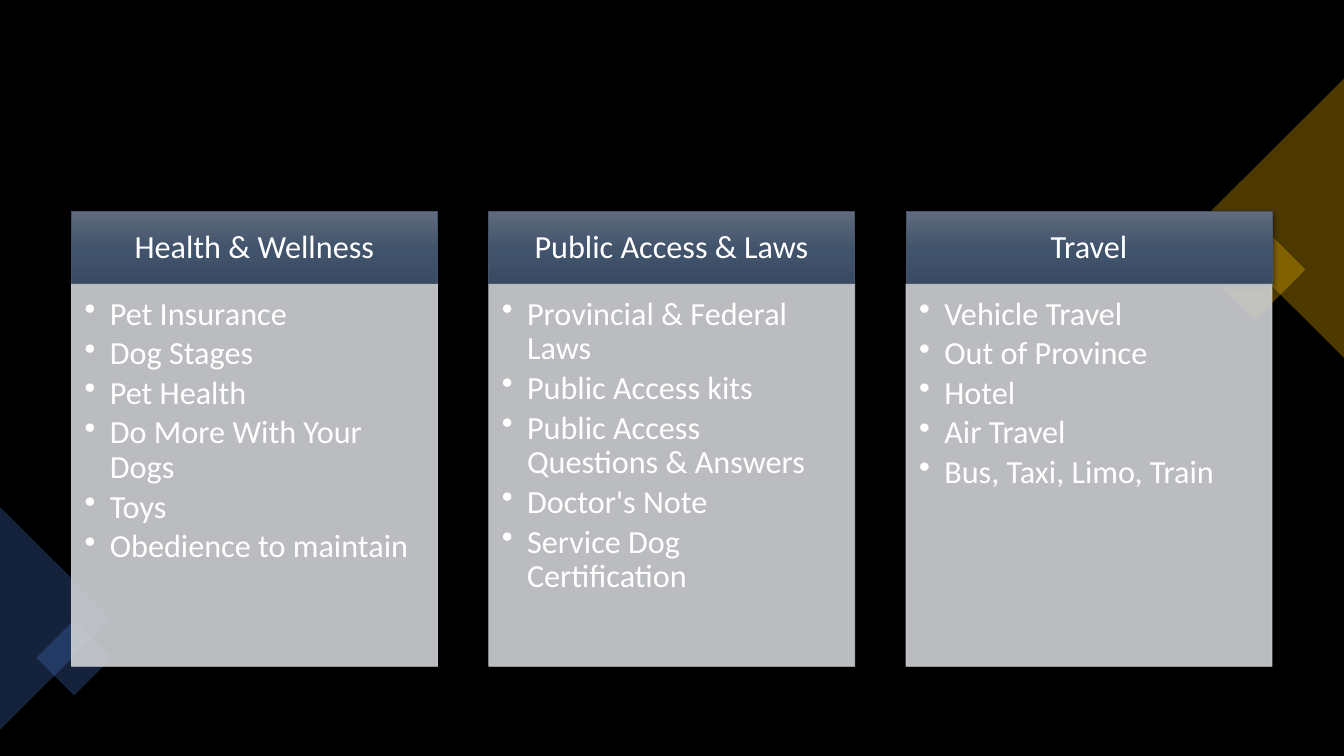
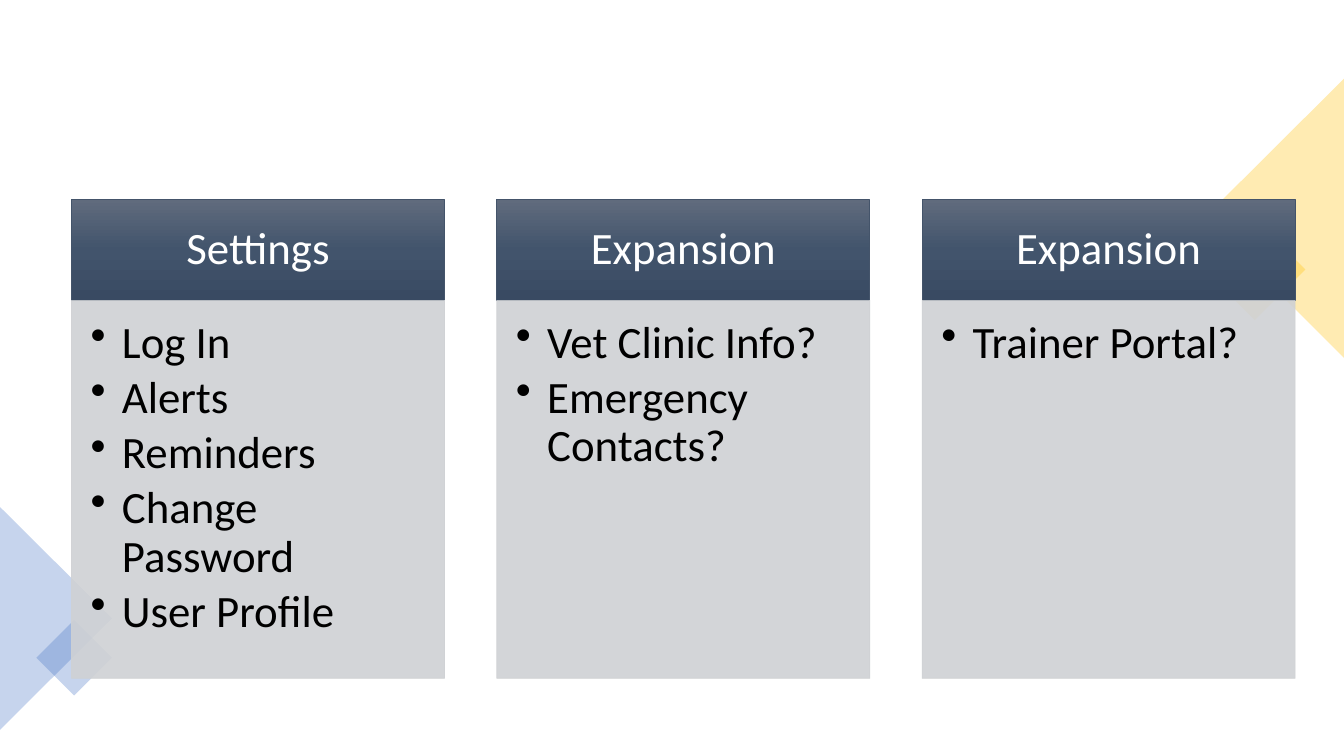
from copy import deepcopy
from lxml import etree
from pptx import Presentation
from pptx import util as u
from pptx.dml.color import RGBColor
from pptx.enum import shapes, text
from pptx.oxml.ns import qn

FONT = "Calibri"
HEX = {
    "black": "000000", "white": "FFFFFF", "gold": "FFC000", "blue": "4472C4",
    "edge": "44546A", "body": "CFD1D4",
    "top": "606B7D", "mid": "42546C", "low": "394A62",
}
RECT = shapes.MSO_SHAPE.RECTANGLE
TRI = shapes.MSO_SHAPE.ISOSCELES_TRIANGLE

# kind, left, top, width, height, turn, colour
DECOR = [
    (RECT, 12.09, 2.32, 0.71, 0.71, 45, "gold"),
    (TRI, 11.25, 1.47, 2.77, 1.39, 270, "gold"),
    (TRI, -0.55, 5.58, 2.21, 1.11, 90, "blue"),
    (RECT, 0.47, 6.26, 0.53, 0.53, 45, "blue"),
]
LEFT, GAP = 0.71, 0.14  # the gap is a share of the column width

SLIDES = [
    {
        "back": "black", "ink": "white", "size": 23, "shadow": True,
        "top": 2.1, "width": 3.63, "head": 0.72, "body": 3.79,
        "head_pad": (0.18, 0.1, 0.18, 0.1),
        "body_pad": (0.13, 0.13, 0.18, 0.2), "indent": 0.25,
        "cols": [
            ("Health & Wellness", [
                "Pet Insurance", "Dog Stages", "Pet Health",
                "Do More With Your Dogs", "Toys", "Obedience to maintain"]),
            ("Public Access & Laws", [
                "Provincial & Federal Laws", "Public Access kits",
                "Public Access Questions & Answers", "Doctor's Note",
                "Service Dog Certification"]),
            ("Travel", [
                "Vehicle Travel", "Out of Province", "Hotel", "Air Travel",
                "Bus, Taxi, Limo, Train"]),
        ],
    },
    {
        "back": "white", "ink": "black", "size": 32, "shadow": False,
        "top": 1.98, "width": 3.7, "head": 1.0, "body": 3.75,
        "head_pad": (0.25, 0.14, 0.25, 0.14),
        "body_pad": (0.19, 0.19, 0.25, 0.28), "indent": 0.31,
        "cols": [
            ("Settings", ["Log In", "Alerts", "Reminders",
                          "Change Password", "User Profile"]),
            ("Expansion", ["Vet Clinic Info?", "Emergency Contacts?"]),
            ("Expansion", ["Trainer Portal?"]),
        ],
    },
]


def rgb(name):
    return RGBColor.from_string(HEX[name])


def paint(fill, name, alpha):
    """Fill with one colour at a given percentage of opacity."""
    fill.solid()
    fill.fore_color.rgb = rgb(name)
    color = fill._xPr.find(".//" + qn("a:srgbClr"))
    etree.SubElement(color, qn("a:alpha"), val=str(alpha * 1000))


def block(slide, kind, *place):
    shape = slide.shapes.add_shape(kind, *map(u.Inches, place))
    shape.shadow.inherit = False
    return shape


def shade(shape):
    """Three-stop gradient from top to bottom."""
    fill = shape.fill
    fill.gradient()
    stops = shape._element.spPr.find(".//" + qn("a:gsLst"))
    stops.insert(1, deepcopy(stops[0]))
    for stop, name, pos in zip(fill.gradient_stops, ("top", "mid", "low"), (0, 0.5, 1)):
        stop.color.rgb = rgb(name)
        stop.position = pos
    fill.gradient_angle = 270


def drop(shape):
    """Soft shadow straight below the shape."""
    effects = shape._element.spPr.find(qn("a:effectLst"))
    outer = etree.SubElement(
        effects, qn("a:outerShdw"), blurRad=str(u.Pt(4.5)), dist=str(u.Pt(1.5)),
        dir="5400000", algn="ctr", rotWithShape="0")
    color = etree.SubElement(outer, qn("a:srgbClr"), val=HEX["black"])
    etree.SubElement(color, qn("a:alpha"), val="63000")


def write(shape, lines, ink, size, pad, indent=None):
    """Centred title lines, or a top-left bullet list if an indent is given."""
    frame = shape.text_frame
    frame.word_wrap = True
    (frame.margin_left, frame.margin_top,
     frame.margin_right, frame.margin_bottom) = map(u.Inches, pad)
    frame.vertical_anchor = text.MSO_ANCHOR.TOP if indent else text.MSO_ANCHOR.MIDDLE
    for i, line in enumerate(lines):
        para = frame.add_paragraph() if i else frame.paragraphs[0]
        para.line_spacing = 0.9
        para.alignment = text.PP_ALIGN.LEFT if indent else text.PP_ALIGN.CENTER
        if indent:
            para.space_after = u.Pt(0.15 * size)
            props = para._p.get_or_add_pPr()
            props.set("marL", str(u.Inches(indent)))
            props.set("indent", str(-u.Inches(indent)))
            etree.SubElement(props, qn("a:buChar"), char="•")
        run = para.add_run()
        run.text = line
        run.font.name = FONT
        run.font.size = u.Pt(size)
        run.font.color.rgb = rgb(ink)


def column(slide, data, left, title, items):
    top, width, size = data["top"], data["width"], data["size"]
    head = block(slide, RECT, left, top, width, data["head"])
    shade(head)
    head.line.color.rgb = rgb("edge")
    if data["shadow"]:
        drop(head)
    write(head, [title], "white", size, data["head_pad"])

    body = block(slide, RECT, left, top + data["head"], width, data["body"])
    paint(body.fill, "body", 90)
    paint(body.line.fill, "body", 90)
    write(body, items, data["ink"], size, data["body_pad"], data["indent"])
    for part in (head, body):
        part.line.width = u.Pt(0.5)


def build(deck, data):
    slide = deck.slides.add_slide(deck.slide_layouts[6])
    back = slide.background.fill
    back.solid()
    back.fore_color.rgb = rgb(data["back"])
    for kind, *place, turn, name in DECOR:
        shape = block(slide, kind, *place)
        shape.rotation = turn
        paint(shape.fill, name, 30)
        shape.line.fill.background()
    for i, (title, items) in enumerate(data["cols"]):
        column(slide, data, LEFT + i * data["width"] * (1 + GAP), title, items)


def main():
    deck = Presentation()
    deck.slide_width, deck.slide_height = u.Inches(13.33), u.Inches(7.5)
    for data in SLIDES:
        build(deck, data)
    deck.save("out.pptx")


if __name__ == "__main__":
    main()
